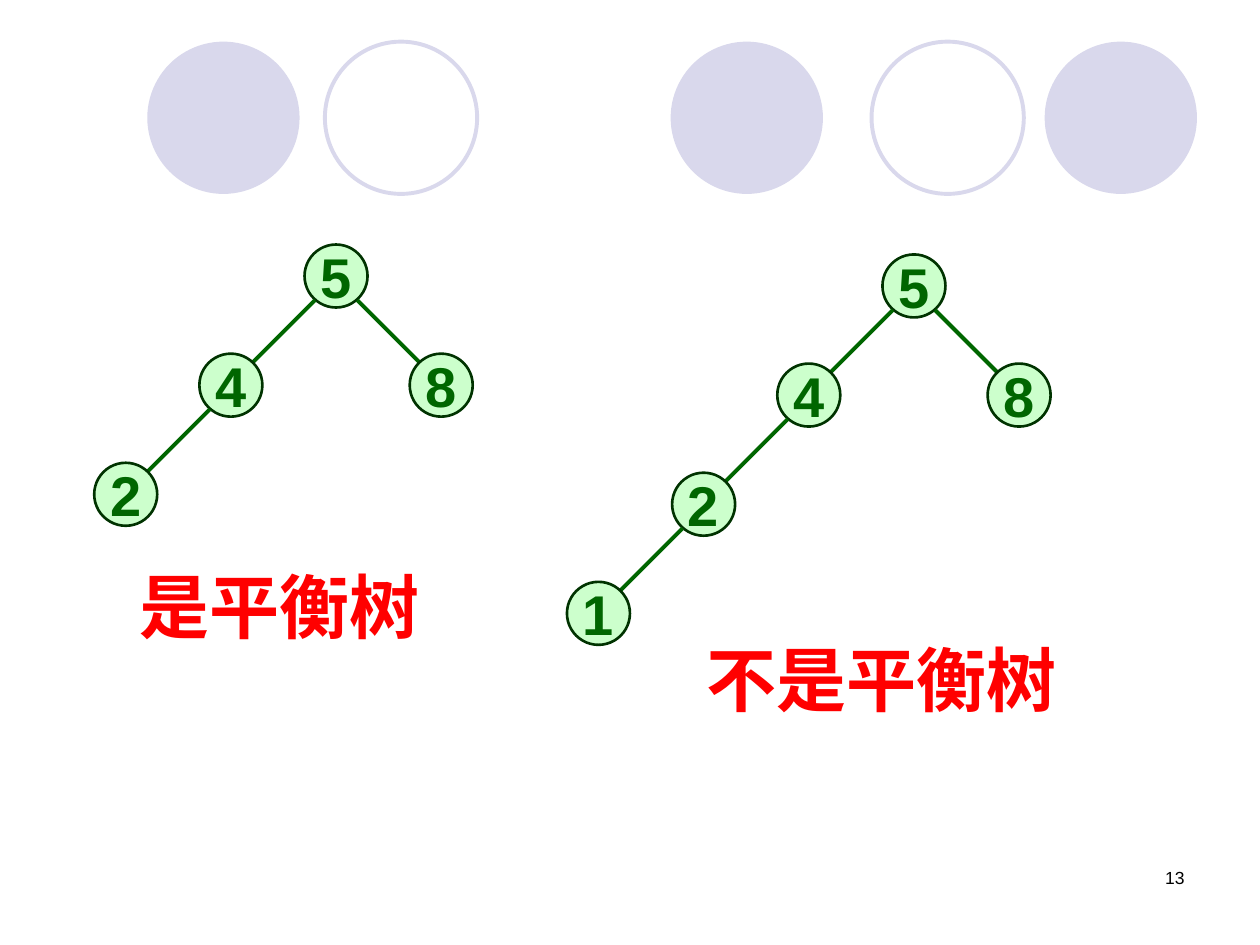
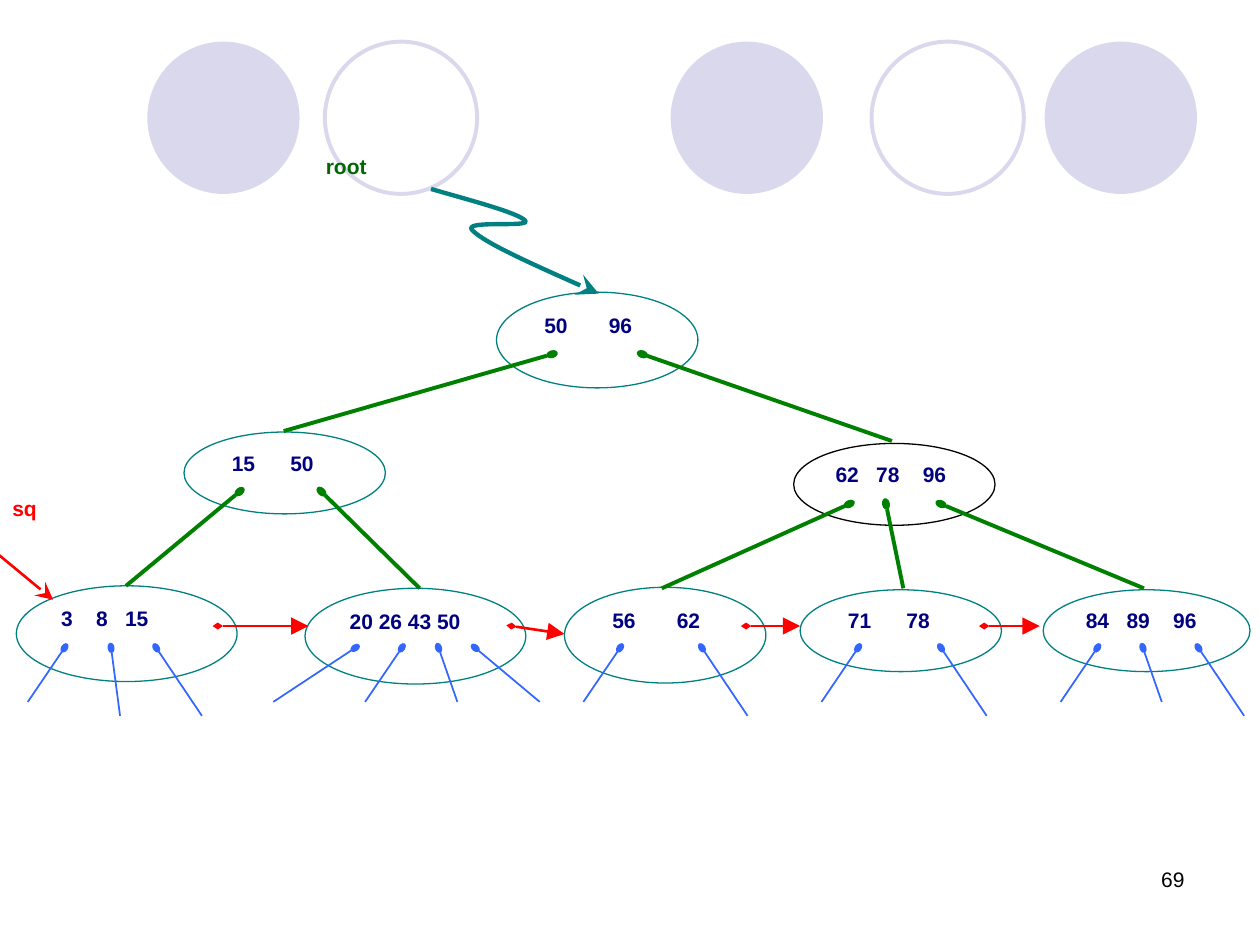
import pptx
import pptx.util
import pptx.dml.color
import pptx.enum.shapes
import pptx.enum.text
import pptx.oxml.ns
from lxml import etree

Cm, Pt = pptx.util.Cm, pptx.util.Pt
qn = pptx.oxml.ns.qn
OVAL = pptx.enum.shapes.MSO_SHAPE.OVAL
STRAIGHT = pptx.enum.shapes.MSO_CONNECTOR.STRAIGHT
ALIGN = pptx.enum.text.PP_ALIGN
ANCHOR = pptx.enum.text.MSO_ANCHOR

FONT = "Arial"
LILAC, TEAL, BLACK, WHITE = "D9D8EC", "008080", "000000", "FFFFFF"
GREEN, DARK, MINT, LINK = "006600", "003300", "CCFFCC", "008000"
RED, NAVY, BLUE = "FF0000", "000080", "3366FF"

# Leaf nodes, right to left: box, keys, tab stops, pointer depth,
# pointers (x, dx), arrow to the next leaf (x, dx, dy)
LEAVES = [
    ((21.03, 11.89, 4.17, 1.65), "84\t89\t96", (0.82, 1.76), 1.17,
     [(1.09, -0.74), (2.01, 0.38), (3.13, 0.92)], None),
    ((16.13, 11.89, 4.06, 1.65), "71\t78", (1.18,), 1.17,
     [(1.17, -0.74), (2.84, 0.92)], (3.71, 1.12, 0)),
    ((11.38, 11.84, 4.06, 1.93), "56\t62", (1.3,), 1.22,
     [(1.12, -0.74), (2.77, 0.92)], (3.66, 1.09, 0)),
    ((6.15, 11.86, 4.45, 1.93), "20 26 43 50", (), 1.2,
     [(1.01, -1.65), (1.95, -0.74), (2.69, 0.38), (3.43, 1.3)],
     (4.16, 1.07, 0.16)),
    ((0.33, 11.81, 4.45, 1.93), "3\t8\t15", (0.71, 1.29), 1.25,
     [(0.97, -0.74), (1.91, 0.18), (2.82, 0.92)], (4.06, 1.83, 0)),
]
LONG = (0.18, 0.92)  # sideways runs of the longer leaf pointers

# Inner nodes: box, keys, tab stops, outline, pointer depth, links (x, dx, dy)
INNER = [
    ((16, 8.94, 4.06, 1.65), "62\t78\t96", (0.82, 1.76), BLACK, 1.22,
     [(1.12, -3.78, 1.7), (1.86, 0.35, 1.7), (2.97, 4.09, 1.7)]),
    ((3.71, 8.71, 4.06, 1.65), "15\t50", (1.18,), TEAL, 1.2,
     [(1.12, -2.29, 1.9), (2.77, 1.98, 1.95)]),
    ((10.01, 5.89, 4.06, 1.93), "50\t96", (1.3,), TEAL, 1.25,
     [(1.12, -5.41, 1.55), (2.94, 5.03, 1.75)]),
]
CURVE = [(8.69, 3.81), (9.55, 4.06), (10.44, 4.29), (10.59, 4.45),
         (10.72, 4.6), (9.27, 4.42), (9.53, 4.65),
         (9.78, 4.9), (10.92, 5.41), (12.07, 5.92)]


def rgb(code):
    return pptx.dml.color.RGBColor.from_string(code)


def write(shape, text, size, color, bold=True, align=ALIGN.LEFT, wrap=True):
    frame = shape.text_frame
    frame.word_wrap = wrap
    frame.text = text
    para = frame.paragraphs[0]
    para.alignment = align
    for run in para.runs:
        font = run.font
        font.name, font.size, font.bold = FONT, Pt(size), bold
        font.color.rgb = rgb(color)
    return frame


def label(slide, box, text, size, color, **style):
    shape = slide.shapes.add_textbox(*map(Cm, box))
    write(shape, text, size, color, **style)


def oval(slide, box, fill=None, line=None, width=0.75):
    shape = slide.shapes.add_shape(OVAL, *map(Cm, box))
    shape.shadow.inherit = False
    if fill:
        shape.fill.solid()
        shape.fill.fore_color.rgb = rgb(fill)
    else:
        shape.fill.background()
    if line:
        shape.line.color.rgb = rgb(line)
        shape.line.width = Pt(width)
    else:
        shape.line.fill.background()
    return shape


def tips(shape, head, tail):
    """Put a narrow head at the start and a large one at the end of a line."""
    line = shape.line._get_or_add_ln()
    if head:
        etree.SubElement(line, qn("a:headEnd"), type=head, w="sm", len="med")
    if tail:
        etree.SubElement(line, qn("a:tailEnd"), type=tail, w="lg", len="lg")


def stroke(slide, x, y, dx, dy, color, width, head=None, tail=None):
    line = slide.shapes.add_connector(
        STRAIGHT, Cm(x), Cm(y), Cm(x + dx), Cm(y + dy))
    line.line.color.rgb = rgb(color)
    line.line.width = Pt(width)
    tips(line, head, tail)
    etree.SubElement(line.element.spPr, qn("a:effectLst"))


def base(deck, number, size):
    """Add a slide with the row of circles and its number."""
    slide = deck.slides.add_slide(deck.slide_layouts[6])
    for left in (2.97, 13.52, 21.06):
        oval(slide, (left, 0.84, 3.07, 3.07), fill=LILAC)
    for left in (6.55, 17.57):
        oval(slide, (left, 0.84, 3.07, 3.07), line=LILAC, width=2.25)
    label(slide, (18.2, 17.35, 5.93, 1.27), number, size, BLACK,
          bold=False, align=ALIGN.RIGHT)
    return slide


def tree(slide, left, top, chain, right):
    """Draw a chain running down to the left and one right child."""
    last = len(chain) - 1
    spots = [(key, last - row, row) for row, key in enumerate(chain)]
    for key, col, row in spots + [(right, last + 1, 1)]:
        x, y = left + 2.12 * col, top + 2.2 * row
        ball = oval(slide, (x, y, 1.27, 1.27), MINT, DARK, 1.5)
        frame = write(ball, key, 32, GREEN, align=ALIGN.CENTER, wrap=False)
        frame.vertical_anchor = ANCHOR.MIDDLE
        if 0 < col <= last:
            stroke(slide, x + 0.21, y + 1.12, -1.27, 1.27, GREEN, 2.25)
        if row == 0:
            stroke(slide, x + 1.06, y + 1.12, 1.27, 1.27, GREEN, 2.25)


def node(slide, box, keys, stops, line=TEAL):
    shape = oval(slide, box, WHITE, line)
    frame = write(shape, keys, 12, NAVY)
    frame.vertical_anchor = ANCHOR.TOP
    frame.margin_left = Cm(0.37 if len(stops) == 1 else 0.25)
    frame.margin_right = 0
    if stops:
        props = frame.paragraphs[0]._p.get_or_add_pPr()
        tabs = etree.SubElement(props, qn("a:tabLst"))
        for stop in stops:
            etree.SubElement(tabs, qn("a:tab"), pos=str(Cm(stop)), algn="l")


def leaf(slide, box, keys, stops, depth, links, chain):
    left, top = box[:2]
    node(slide, box, keys, stops)
    for x, dx in links:
        drop = 1.37 if dx in LONG else 1.09
        stroke(slide, left + x, top + depth, dx, drop, BLUE, 1, "oval")
    if chain:
        x, dx, dy = chain
        stroke(slide, left + x, top + depth - 0.44, dx, dy, RED, 1.5,
               "diamond", "triangle")


def inner(slide, box, keys, stops, line, depth, links):
    left, top = box[:2]
    node(slide, box, keys, stops, line)
    for x, dx, dy in links:
        stroke(slide, left + x, top + depth, dx, dy, LINK, 2.25, "oval")


def curve(slide, points):
    """Draw an open Bezier curve with an arrow at its end."""
    spots = [(Cm(x), Cm(y)) for x, y in points]
    pen = slide.shapes.build_freeform(*spots[0])
    pen.add_line_segments(spots[1:], close=False)
    shape = pen.convert_to_shape()
    shape.shadow.inherit = False
    shape.fill.background()
    shape.line.color.rgb = rgb(TEAL)
    shape.line.width = Pt(2.5)
    tips(shape, None, "stealth")
    track = next(shape.element.iter(qn("a:path")))
    steps = track.findall(qn("a:lnTo"))
    for start in range(0, len(steps), 3):
        bend = etree.SubElement(track, qn("a:cubicBezTo"))
        for step in steps[start:start + 3]:
            bend.append(step[0])
            track.remove(step)


def balance(deck):
    slide = base(deck, "13", 10)
    tree(slide, 1.9, 4.93, "542", "8")
    tree(slide, 11.43, 5.13, "5421", "8")
    label(slide, (2.57, 11.23, 6.5, 1.96), "是平衡树", 40, RED)
    label(slide, (14, 12.7, 8, 1.96), "不是平衡树", 40, RED)


def index(deck):
    slide = base(deck, "69", 12)
    for item in LEAVES:
        leaf(slide, *item)
    for item in INNER:
        inner(slide, *item)
    label(slide, (0, 9.86, 1.3, 1.37), "sq", 12, RED)
    stroke(slide, -0.43, 10.85, 1.5, 1.24, RED, 1.5, tail="stealth")
    label(slide, (6.32, 2.97, 1.6, 0.76), "root", 12, GREEN)
    curve(slide, CURVE)


def main():
    deck = pptx.Presentation()
    deck.slide_width, deck.slide_height = Cm(25.4), Cm(19.05)
    balance(deck)
    index(deck)
    deck.save("out.pptx")


if __name__ == "__main__":
    main()
